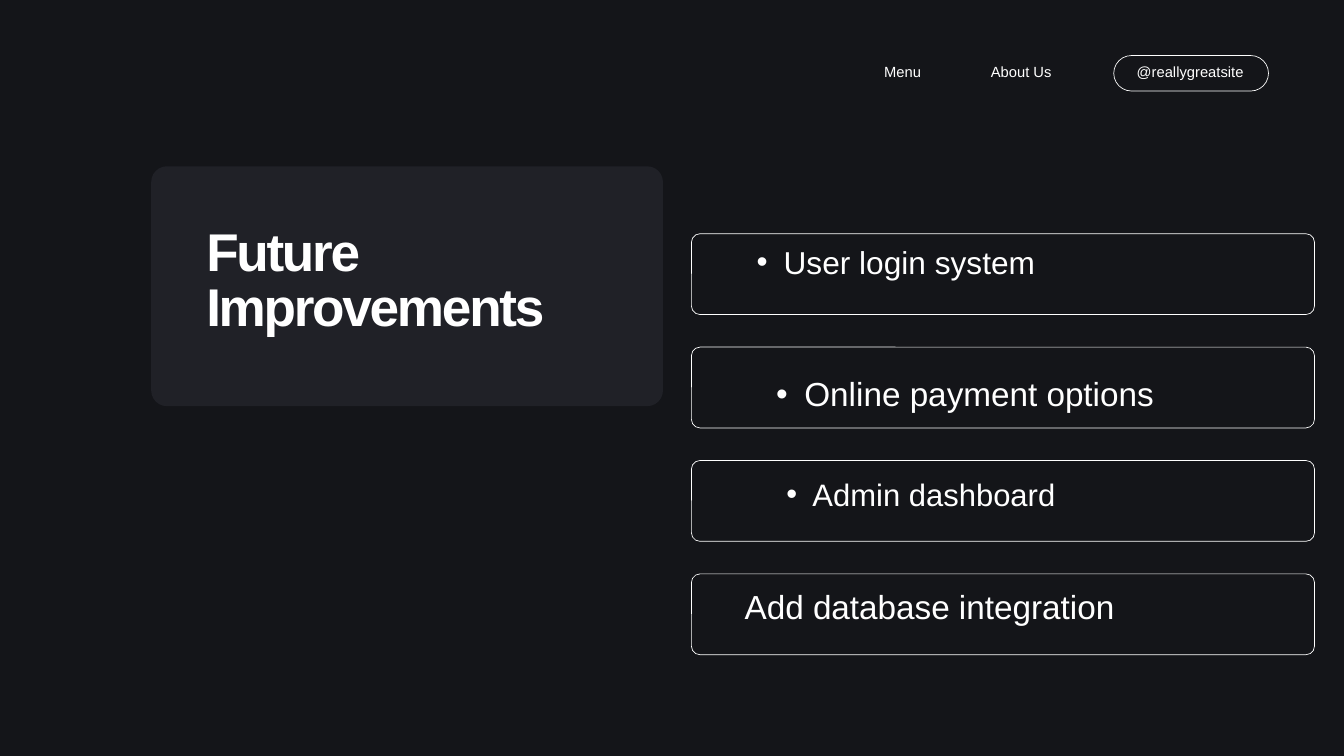
from lxml import etree
from pptx import Presentation
from pptx.dml.color import RGBColor
from pptx.enum.shapes import MSO_SHAPE
from pptx.enum.text import MSO_ANCHOR, MSO_AUTO_SIZE, PP_ALIGN
from pptx.oxml.ns import qn
from pptx.util import Pt

ROUND = MSO_SHAPE.ROUNDED_RECTANGLE
TOP = MSO_ANCHOR.TOP
FIXED = MSO_AUTO_SIZE.NONE
LEFT, RIGHT = PP_ALIGN.LEFT, PP_ALIGN.RIGHT

DARK = RGBColor(0x14, 0x15, 0x19)
PANEL = RGBColor(0x20, 0x21, 0x27)
WHITE = RGBColor(0xFF, 0xFF, 0xFF)
FONT = "Arial"

# Text, left, top, width, height
MENU = [
    ("Menu", 923, 72.7, 64, 17.3),
    ("About Us", 1037.5, 72.7, 89.3, 17.3),
    ("@reallygreatsite", 1096.6, 72.7, 236, 17.3),
]
# Text, box, size, line pitch, bullet indent (0 for no bullet)
ITEMS = [
    ("User login system", (782, 270.7, 584.6, 66.2), 33.9, 29.9, 28.8),
    ("Online payment options", (801.4, 411.8, 472.3, 70.6), 35.7, 31.4, 30.2),
    ("Admin dashboard", (814.3, 519.8, 439.2, 64.8), 33.2, 29.2, 28.1),
    ("Add database integration", (797.8, 639.4, 472.3, 39.6), 35.7, 31.4, 0),
]
FRAME_TOP, FRAME_STEP = 250.4, 121.5


def place(shape, box):
    shape.left, shape.top, shape.width, shape.height = map(Pt, box)


def add_round(slide, box, radius, fill=None):
    """Draw a filled panel, or a white outline when no fill is given."""
    shape = slide.shapes.add_shape(ROUND, *map(Pt, box))
    shape.adjustments[0] = radius / min(box[2:])
    shape.shadow.inherit = False
    if fill is None:
        shape.fill.background()
        shape.line.color.rgb = WHITE
        shape.line.width = Pt(0.75)
    else:
        shape.fill.solid()
        shape.fill.fore_color.rgb = fill
        shape.line.fill.background()


def write(shape, text, size, pitch, align=LEFT, bold=False):
    """Write one paragraph without margins; return it and its run."""
    frame = shape.text_frame
    frame.word_wrap = True
    frame.auto_size = FIXED
    frame.vertical_anchor = TOP
    frame.margin_left = frame.margin_right = 0
    frame.margin_top = frame.margin_bottom = 0
    para = frame.paragraphs[0]
    para.alignment = align
    para.line_spacing = Pt(pitch)
    para.space_before = Pt(0)
    run = para.add_run()
    run.text = text
    font = run.font
    font.name, font.size, font.bold = FONT, Pt(size), bold
    font.color.rgb = WHITE
    return para, run


def set_bullet(para, indent):
    """Hang a bullet by the indent, or clear it when the indent is 0."""
    props = para._p.get_or_add_pPr()
    props.set("marL", str(Pt(2 * indent)))
    props.set("indent", str(-Pt(indent)))
    if indent:
        para.level = 1
        etree.SubElement(props, qn("a:buFont"), typeface=FONT)
        etree.SubElement(props, qn("a:buChar"), char="•")
    else:
        etree.SubElement(props, qn("a:buNone"))


def add_menu(slide):
    add_round(slide, (1193.3, 59.5, 165.8, 38), 19)
    for text, *box in MENU:
        label = slide.shapes.add_textbox(*map(Pt, box))
        write(label, text, 15.8, 13.9, RIGHT)


def add_title(slide):
    add_round(slide, (162, 178.2, 548.3, 257), 16.8, PANEL)
    title = slide.shapes.title
    place(title, (221, 242.6, 396.7, 129.6))
    run = write(title, "Future Improvements", 56.9, 59.2, bold=True)[1]
    run.font._element.set("spc", "-240")


def add_items(slide):
    bodies = list(slide.placeholders)[1:]
    for row, (body, item) in enumerate(zip(bodies, ITEMS)):
        text, box, size, pitch, indent = item
        top = FRAME_TOP + row * FRAME_STEP
        add_round(slide, (740.8, top, 667.6, 86.6), 9.2)
        place(body, box)
        para = write(body, text, size, pitch)[0]
        set_bullet(para, indent)


def raise_text(slide):
    """Bring the placeholders in front of the panels."""
    tree = slide.shapes._spTree
    for holder in list(slide.placeholders):
        tree.append(holder._element)


def main():
    deck = Presentation()
    deck.slide_width, deck.slide_height = Pt(1440), Pt(810)
    # The comparison layout holds a title and four bodies
    slide = deck.slides.add_slide(deck.slide_layouts[4])
    slide.background.fill.solid()
    slide.background.fill.fore_color.rgb = DARK
    add_menu(slide)
    add_title(slide)
    add_items(slide)
    raise_text(slide)
    deck.save("out.pptx")


if __name__ == "__main__":
    main()
